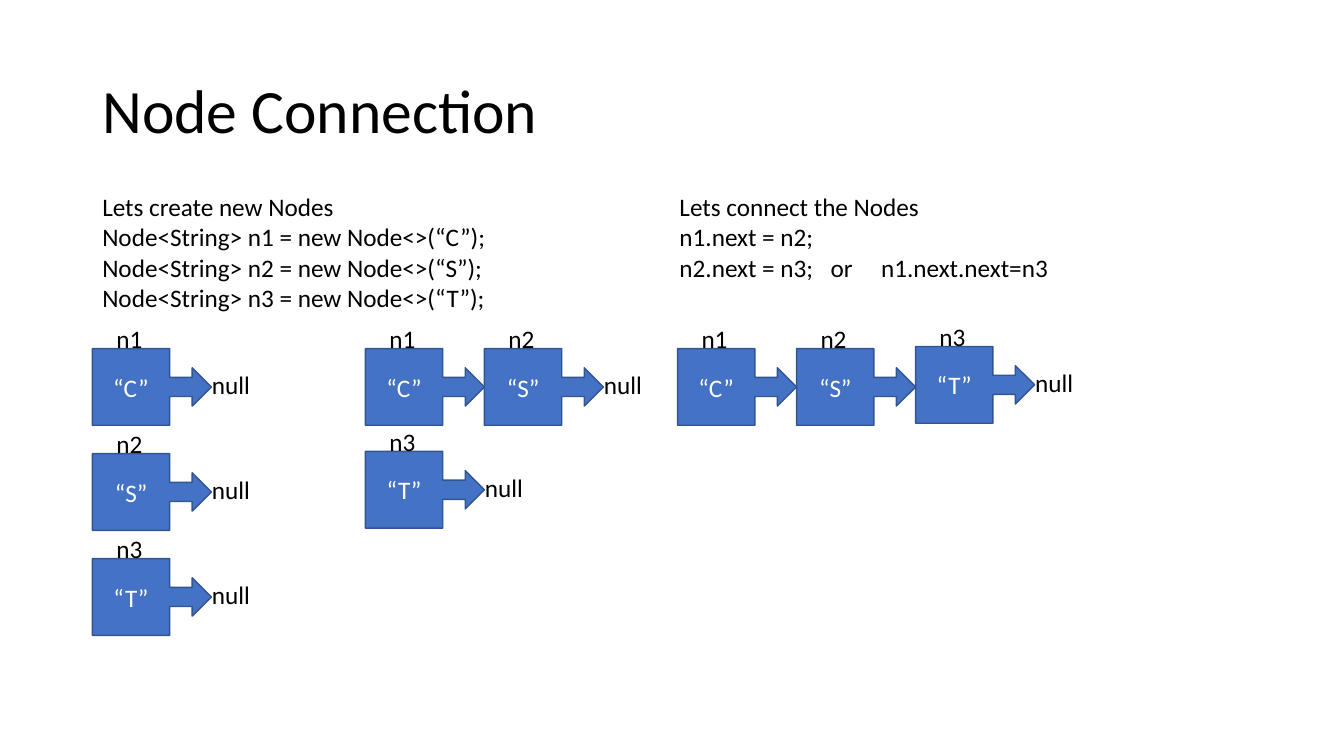
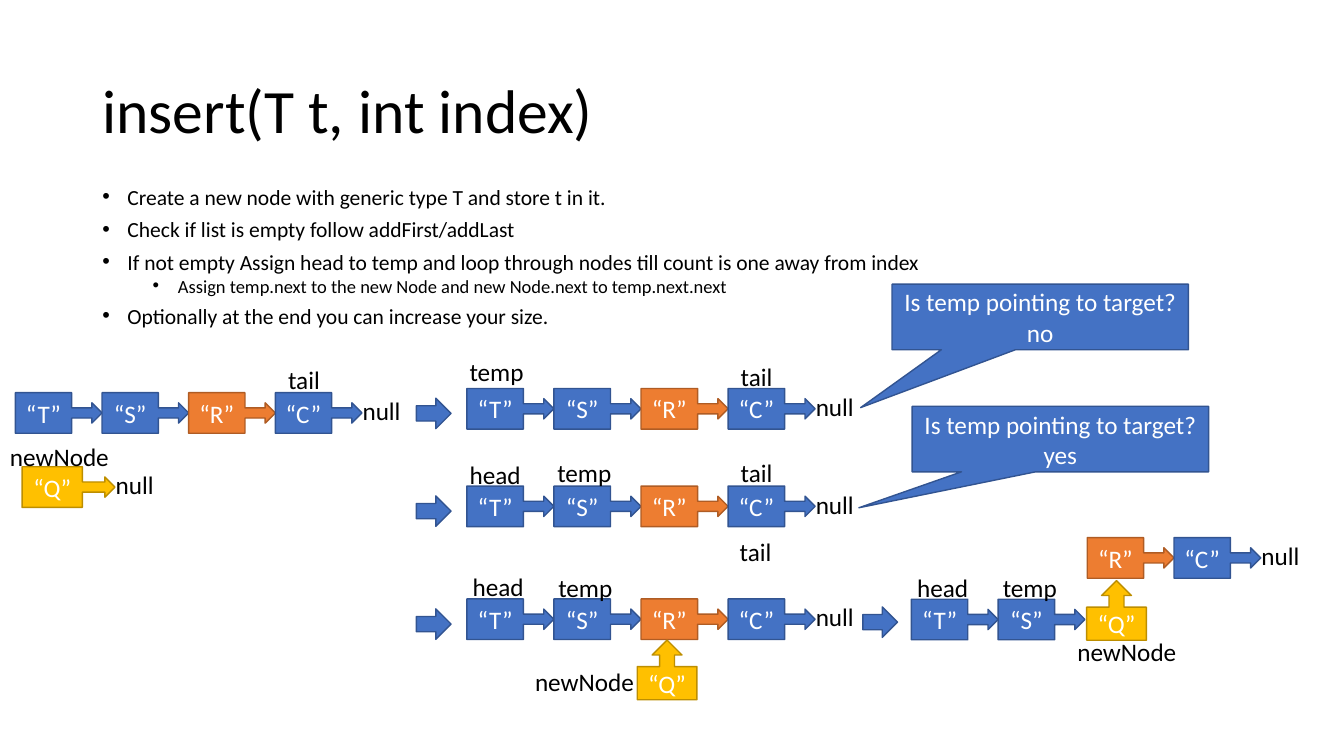
from pptx import Presentation
from pptx.dml.color import RGBColor
from pptx.enum import shapes, text
from pptx.oxml import ns
from pptx.util import Pt
from lxml import etree

COLORS = {"text": "000000", "light": "FFFFFF",
          "blue": "4472C4", "blue line": "325491",
          "orange": "ED7D31", "orange line": "AF5C24",
          "gold": "FFC000", "gold line": "BD8E00"}
NODE_COLORS = {"R": "orange", "Q": "gold"}
LABEL_WIDTHS = {"null": 41.8, "tail": 38, "temp": 62, "head": 51, "newNode": 86.4}
LABEL_HEIGHT = 29
TITLE_BOX = (66, 28.8, 828, 104.4)
TITLE_FRAME = {"word_wrap": True, "vertical_anchor": text.MSO_ANCHOR.MIDDLE}
TEXT_FRAME = {"word_wrap": True, "auto_size": text.MSO_AUTO_SIZE.SHAPE_TO_FIT_TEXT}
BULLET_LEVELS = [
    {"size": 15.4, "margin": 18, "space": 10},
    {"size": 13.2, "margin": 54, "space": 5},
]
PREPARED_CALLOUT = (0.25, 0.25, 0.25, 0.555)


def apply(target, values):
    """Set every attribute in a dict of format values."""
    for name, value in values.items():
        setattr(target, name, value)


def points(box):
    """Turn a box of numbers into lengths."""
    return [Pt(number) for number in box]


def write(paragraph, wording, size=18, color="text", **values):
    """Fill a paragraph with one formatted run."""
    apply(paragraph, values)
    run = paragraph.add_run()
    run.text = wording
    apply(run.font, {"name": "Calibri", "size": Pt(size)})
    run.font.color.rgb = RGBColor.from_string(COLORS[color])


def add_titled_slide(presentation, title):
    """Add a title-only slide with the shared title style."""
    slide = presentation.slides.add_slide(presentation.slide_layouts[5])
    shape = slide.shapes.title
    apply(shape, dict(zip(("left", "top", "width", "height"), points(TITLE_BOX))))
    apply(shape.text_frame, TITLE_FRAME)
    write(shape.text_frame.paragraphs[0], title, 44,
          alignment=text.PP_ALIGN.LEFT, line_spacing=0.9)
    return slide


def add_text(slide, box, lines, wrap=True):
    """Add a text box with one paragraph for each line."""
    frame = slide.shapes.add_textbox(*points(box)).text_frame
    apply(frame, {**TEXT_FRAME, "word_wrap": wrap})
    for index, line in enumerate(lines):
        write(frame.add_paragraph() if index else frame.paragraphs[0], line)


def add_label(slide, left, top, word):
    """Add a one-word label."""
    box = (left, top, LABEL_WIDTHS.get(word, 35.3), LABEL_HEIGHT)
    add_text(slide, box, [word], word != "null")


def add_bullets(slide, box, items):
    """Add a bulleted list of (level, wording) items."""
    frame = slide.shapes.add_textbox(*points(box)).text_frame
    frame.word_wrap = True
    for index, (level, wording) in enumerate(items):
        style = BULLET_LEVELS[level]
        paragraph = frame.add_paragraph() if index else frame.paragraphs[0]
        write(paragraph, wording, style["size"], level=level,
              line_spacing=0.7, space_before=Pt(style["space"]))
        properties = paragraph._p.get_or_add_pPr()
        properties.set("marL", str(Pt(style["margin"])))
        properties.set("indent", str(Pt(-18)))
        etree.SubElement(properties, ns.qn("a:buFont")).set("typeface", "Arial")
        etree.SubElement(properties, ns.qn("a:buChar")).set("char", "•")


def add_block(slide, kind, box, wording="", color="blue", adjustments=()):
    """Add a filled preset shape with centred light text."""
    shape = slide.shapes.add_shape(kind, *points(box))
    shape.shadow.inherit = False
    shape.fill.solid()
    shape.fill.fore_color.rgb = RGBColor.from_string(COLORS[color])
    shape.line.color.rgb = RGBColor.from_string(COLORS[color + " line"])
    shape.line.width = Pt(1)
    for index, value in enumerate(adjustments):
        shape.adjustments[index] = value
    if wording:
        apply(shape.text_frame, TITLE_FRAME)
        write(shape.text_frame.paragraphs[0], wording, color="light",
              alignment=text.PP_ALIGN.CENTER)


def add_node(slide, kind, box, letter, adjustments=()):
    """Add a list node holding a quoted letter."""
    add_block(slide, kind, box, f"“{letter}”", NODE_COLORS.get(letter, "blue"), adjustments)


def add_chain(slide, box, letters, names=(), ends=True):
    """Add linked nodes from the first node's box, with names and a null end."""
    left, top, width, height = box
    for index, letter in enumerate(letters):
        add_node(slide, shapes.MSO_SHAPE.RIGHT_ARROW_CALLOUT,
                 (left + index * width, top, width, height), letter)
    for index, name in enumerate(names):
        add_label(slide, left + index * width + 10, top - 21.5, name)
    if ends:
        add_label(slide, left + len(letters) * width - 6.7,
                  top + (height - LABEL_HEIGHT) / 2 - 1.5, "null")


def build_connection(presentation):
    """Build the slide that creates and connects nodes."""
    slide = add_titled_slide(presentation, "Node Connection")
    declarations = [f"Node<String> n{number} = new Node<>(“{letter}”);"
                    for number, letter in enumerate("CST", 1)]
    add_text(slide, (66, 133.2, 291, 94.5), ["Lets create new Nodes", *declarations])
    add_text(slide, (478.3, 133.2, 350.6, 72.7),
             ["Lets connect the Nodes", "n1.next = n2;", "n2.next = n3;\tor\tn1.next.next=n3"])
    for row, letter in enumerate("CST"):
        add_chain(slide, (66, 249 + 75 * row, 85, 54.8), letter, [f"n{row + 1}"])
    add_chain(slide, (261, 249, 85, 54.8), "CS", ["n1", "n2"])
    add_chain(slide, (261, 322.4, 85, 54.8), "T", ["n3"])
    add_chain(slide, (484, 249, 85, 54.8), "CS", ["n1", "n2"], ends=False)
    add_chain(slide, (654, 247.5, 85, 54.8), "T", ["n3"])


def build_insert(presentation):
    """Build the slide that inserts a node at an index."""
    slide = add_titled_slide(presentation, "insert(T t, int index)")
    add_bullets(slide, (66, 133.2, 828, 115.2), [
        (0, "Create a new node with generic type T and store t in it."),
        (0, "Check if list is empty follow addFirst/addLast"),
        (0, "If not empty Assign head to temp and loop through nodes till count is one away from index"),
        (1, "Assign temp.next to the new Node and new Node.next to temp.next.next"),
        (0, "Optionally at the end you can increase your size."),
    ])
    for left, top, width, letters, ends in [
        (11, 280.5, 61.9, "TSRC", True),
        (333.5, 277.5, 62.2, "TSRC", True),
        (333.5, 347.2, 62.2, "TSRC", True),
        (333.5, 427.8, 62.2, "TSRC", True),
        (651, 428, 62, "TS", False),
        (776.6, 384, 62, "RC", True),
        (15.8, 333.4, 66.4, "Q", True),
    ]:
        add_chain(slide, (left, top, width, 29), letters, ends=ends)
    for left, top in [(297.4, 284.4), (297.4, 354.2), (297.4, 434.9), (616.3, 433.5)]:
        add_block(slide, shapes.MSO_SHAPE.RIGHT_ARROW, (left, top, 24.8, 21.8))
    for left, top in [(455.2, 457.2), (776.2, 414.7)]:
        add_node(slide, shapes.MSO_SHAPE.UP_ARROW_CALLOUT,
                 (left, top, 42.6, 42.6), "Q", PREPARED_CALLOUT)
    for left, top, answer, tip in [
        (637.2, 203, "no", (-0.606, 1.384)),
        (651.6, 290.2, "yes", (-0.68, 1.049)),
    ]:
        add_block(slide, shapes.MSO_SHAPE.RECTANGULAR_CALLOUT, (left, top, 211.7, 46.8),
                  f"Is temp pointing to target? {answer}", adjustments=tip)
    for left, top, word in [
        (198.7, 257, "tail"), (522, 254.2, "tail"), (522, 323.3, "tail"), (521.3, 379.8, "tail"),
        (328.3, 251.3, "temp"), (391, 322.8, "temp"), (391.7, 405.4, "temp"), (709.2, 405.4, "temp"),
        (328.3, 324.7, "head"), (330.5, 404.6, "head"), (648, 405.4, "head"),
        (0, 311.8, "newNode"), (375.1, 472.7, "newNode"), (762.5, 450.7, "newNode"),
    ]:
        add_label(slide, left, top, word)


def main():
    """Build and save the presentation."""
    presentation = Presentation()
    apply(presentation, {"slide_width": Pt(960), "slide_height": Pt(540)})
    build_connection(presentation)
    build_insert(presentation)
    presentation.save("out.pptx")


main()
